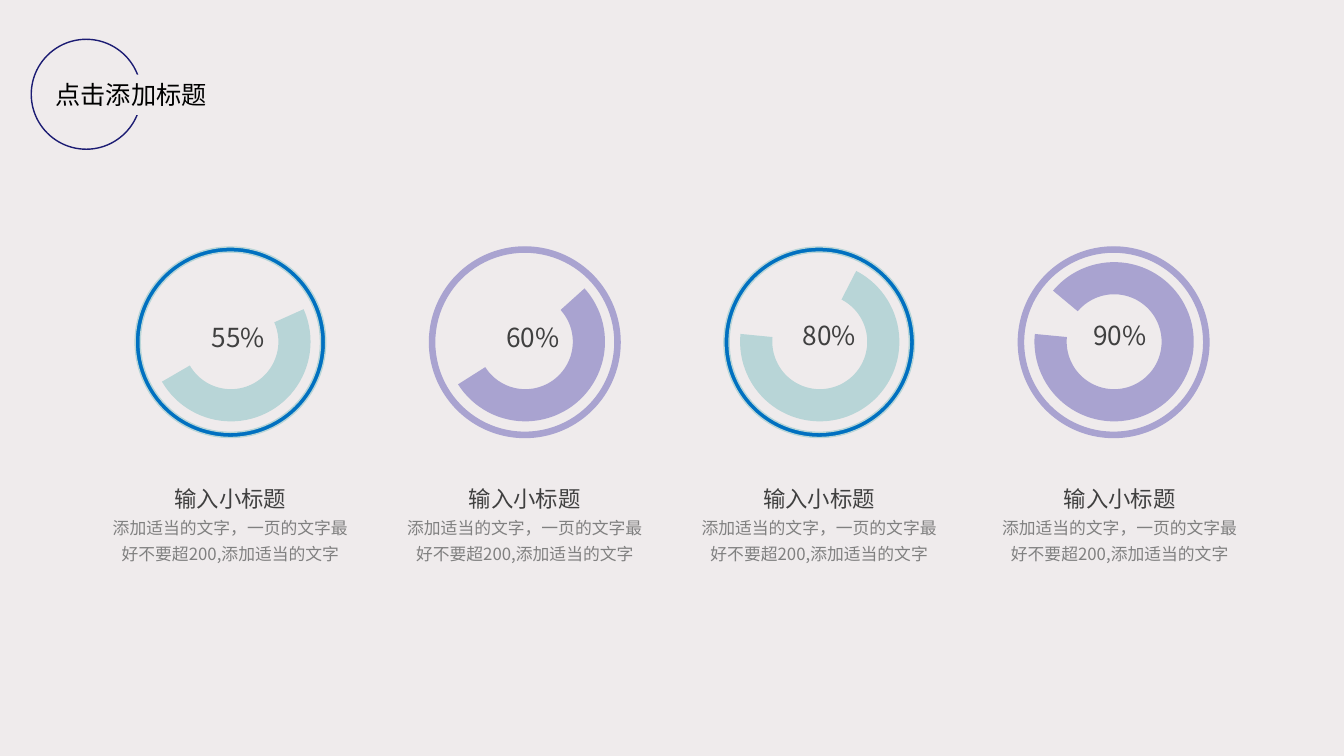
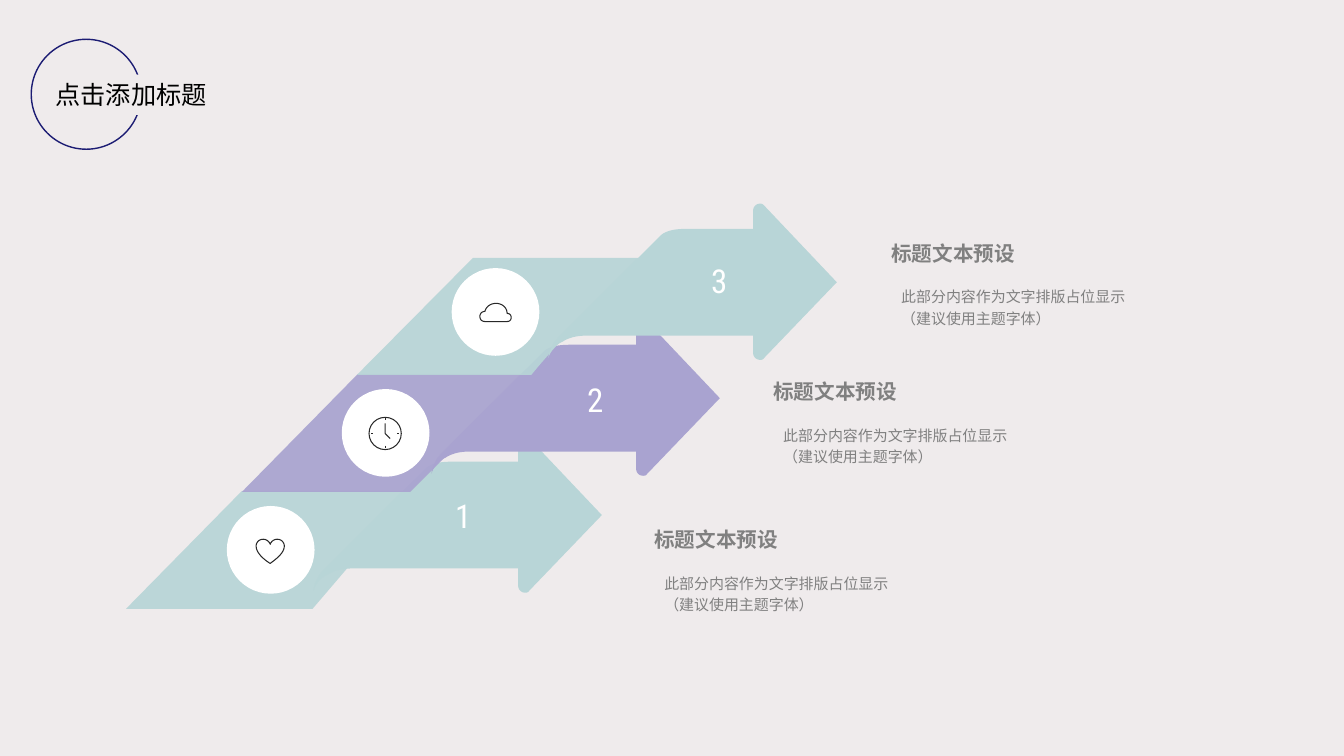
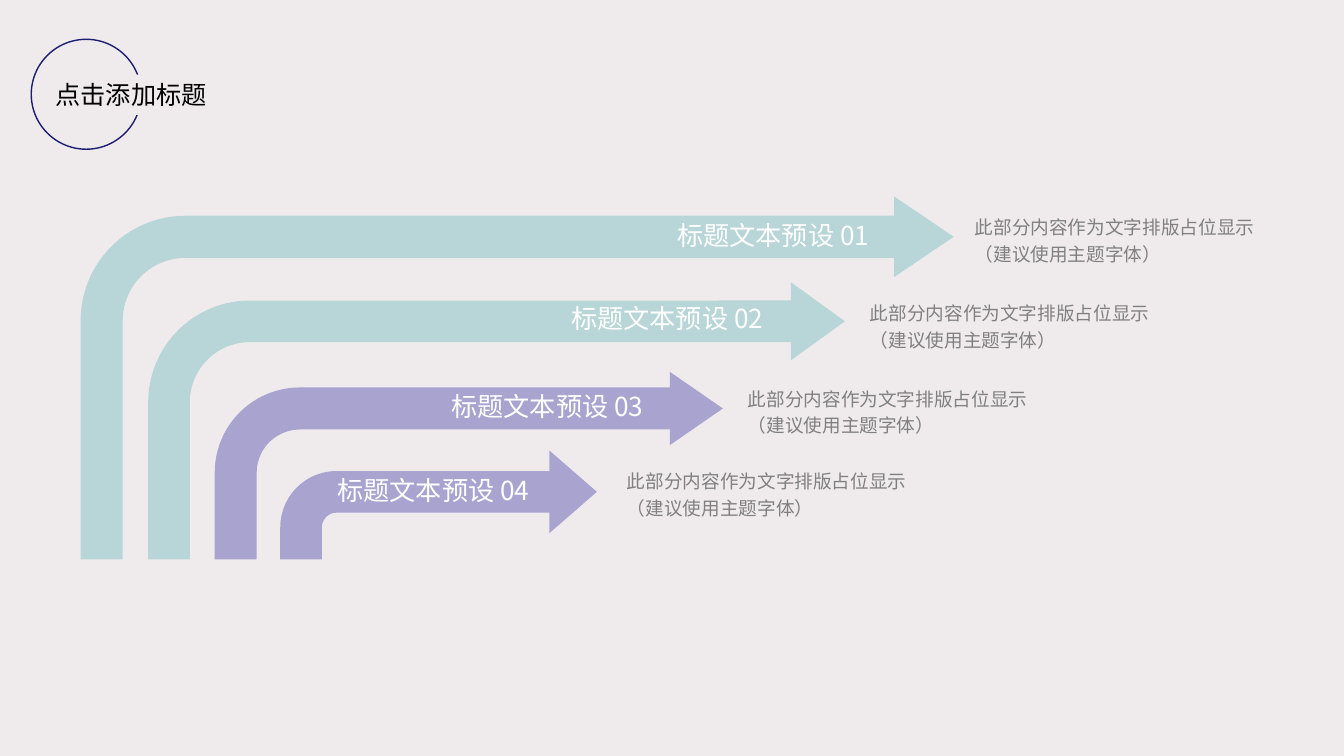
from dataclasses import dataclass
from lxml.etree import SubElement
from pptx import Presentation
from pptx.dml.color import RGBColor
from pptx.enum.shapes import MSO_SHAPE
from pptx.enum.text import MSO_ANCHOR, PP_ALIGN
from pptx.oxml.ns import qn
from pptx.util import Inches, Pt


@dataclass(frozen=True)
class Theme:
    back: str = "EFEBEC"
    navy: str = "1C1C73"
    blue: str = "0070C0"
    mint: str = "B8D5D7"
    lilac: str = "A9A3D0"
    white: str = "FFFFFF"
    black: str = "000000"
    ink: str = "282828"
    dark: str = "404040"
    gray: str = "808080"
    sans: str = "Noto Sans CJK SC"
    slim: str = "Roboto Condensed"
    title: float = 18
    label: float = 18.7
    head: float = 16
    text: float = 12
    digit: float = 23.5
    step: float = 14.7
    note: float = 10.7
    body: float = 13.3


T = Theme()
TITLE = "点击添加标题"
HEAD = "标题文本预设"
NOTE = "此部分内容作为文字排版占位显示\v（建议使用主题字体）"
CAPTION = "输入小标题\n添加适当的文字，一页的文字最好不要超200,添加适当的文字"

RINGS = [
    ("55%", T.blue, T.mint, 146.3, 113.75, 1.83, 3.14, 0.95),
    ("60%", T.lilac, T.lilac, 144, 104.4, 4.75, 3.14, 3.87),
    ("80%", T.blue, T.mint, 182, 69.14, 7.69, 3.12, 6.79),
    ("90%", T.lilac, T.lilac, 182, 22.76, 10.57, 3.12, 9.77),
]

ARROW = [
    (2.1, 1.55), (2.11, 1.55, 2.13, 1.55, 2.14, 1.53), (2.86, 0.78), (2.14, 0.02),
    (2.13, 0.01, 2.12, 0, 2.1, 0), (2.06, 0, 2.03, 0.03, 2.03, 0.07),
    (2.03, 0.25), (1.4, 0.25), (1.36, 0.25, 1.3, 0.25, 1.24, 0.26),
    (1.19, 0.27, 1.14, 0.29, 1.12, 0.31), (1.11, 0.32, 0.11, 1.31, 0.06, 1.37),
    (0.03, 1.42, 0, 1.49, 0, 1.53), (0.02, 1.46, 0.07, 1.4, 0.14, 1.37),
    (0.2, 1.33, 0.28, 1.31, 0.37, 1.31), (2.03, 1.31), (2.03, 1.48),
    (2.03, 1.52, 2.06, 1.55, 2.1, 1.55),
]
HEART = [
    (2.68, 5.59), (2.66, 5.58, 2.54, 5.5, 2.54, 5.42), (2.54, 5.38, 2.57, 5.35, 2.61, 5.35),
    (2.64, 5.35, 2.67, 5.37, 2.68, 5.4), (2.69, 5.37, 2.72, 5.35, 2.75, 5.35),
    (2.79, 5.35, 2.82, 5.38, 2.82, 5.42), (2.82, 5.5, 2.69, 5.58, 2.68, 5.59),
]
CLOUD = [
    (5.03, 3.19), (4.81, 3.19), (4.78, 3.19, 4.76, 3.17, 4.76, 3.14),
    (4.76, 3.11, 4.78, 3.09, 4.81, 3.09), (4.82, 3.04, 4.87, 3.01, 4.92, 3.01),
    (4.98, 3.01, 5.03, 3.05, 5.03, 3.11), (5.06, 3.11, 5.07, 3.13, 5.07, 3.15),
    (5.07, 3.17, 5.06, 3.19, 5.03, 3.19),
]
CLOCK = [
    [(3.82, 4.2), (3.82, 4.3), (3.87, 4.35)],
    [(3.82, 4.15), (3.82, 4.17)],
    [(3.82, 4.42), (3.82, 4.44)],
    [(3.68, 4.3), (3.7, 4.3)],
    [(3.94, 4.3), (3.96, 4.3)],
]
DIAL = (3.66, 4.14, 0.32, 0.32)
STEPS = [
    ("1", T.mint, [(4.1, 4.87), (2.4, 4.87), (1.25, 6.04), (3.1, 6.04)],
     (3.11, 4.33), (4.33, 4.92), (2.25, 5.02), [HEART], (6.49, 5.18)),
    ("2", T.lilac, [(5.24, 3.71), (3.55, 3.71), (2.4, 4.88), (4.07, 4.88)],
     (4.28, 3.17), (5.64, 3.77), (3.39, 3.86), CLOCK, (7.67, 3.71)),
    ("3", T.mint, [(6.38, 2.56), (4.69, 2.56), (3.54, 3.72), (5.27, 3.72),
                   (5.4, 3.56, 5.54, 3.41, 5.68, 3.25), (5.9, 3.01, 6.14, 2.78, 6.38, 2.56)],
     (5.44, 2.02), (6.87, 2.59), (4.48, 2.66), [CLOUD], (8.84, 2.34)),
]

BENDS = [
    ("01", T.mint, (0.8, 1.95, 8.66), (0.116, 0.111, 0.164, 0.289), (5.61, 2.05), (9.57, 2.1)),
    ("02", T.mint, (1.47, 2.8, 6.91), (0.15, 0.141, 0.195, 0.367), (4.56, 2.88), (8.53, 2.95)),
    ("03", T.lilac, (2.13, 3.69, 5.04), (0.224, 0.195, 0.282, 0.454), (3.37, 3.75), (7.32, 3.8)),
    ("04", T.lilac, (2.78, 4.47, 3.14), (0.382, 0.379, 0.435, 0.518), (2.24, 4.58), (6.12, 4.62)),
]
FLOOR = 5.55


def rgb(tint):
    return RGBColor.from_string(tint)


def paint(shape, fill=None, line=None, width=1):
    shape.shadow.inherit = False
    if fill:
        shape.fill.solid()
        shape.fill.fore_color.rgb = rgb(fill)
    else:
        shape.fill.background()
    if line:
        shape.line.color.rgb = rgb(line)
        shape.line.width = Pt(width)
    else:
        shape.line.fill.background()
    return shape


def draw(slide, kind, box, fill=None, line=None, width=1, adjust=()):
    shape = slide.shapes.add_shape(kind, *map(Inches, box))
    for i, value in enumerate(adjust):
        shape.adjustments[i] = value
    return paint(shape, fill, line, width)


def style(para, size, tint, font=T.sans, bold=False, align=PP_ALIGN.LEFT, space=None):
    para.alignment = align
    if space:
        para.line_spacing = space
    for run in para.runs:
        run.font.size = Pt(size)
        run.font.bold = bold
        run.font.color.rgb = rgb(tint)
        run.font.name = font
        SubElement(run.font._element, qn("a:ea")).set("typeface", font)


def write(slide, box, text, looks, inset=(0.1, 0.05, 0.1, 0.05), anchor=MSO_ANCHOR.TOP, **more):
    frame = slide.shapes.add_textbox(*map(Inches, box)).text_frame
    frame.word_wrap = True
    frame.vertical_anchor = anchor
    (frame.margin_left, frame.margin_top,
     frame.margin_right, frame.margin_bottom) = map(Inches, inset)
    frame.text = text
    for para, (size, tint) in zip(frame.paragraphs, looks):
        style(para, size, tint, **more)


def trace(parts, parts_per_curve=10):
    points = [parts[0]]
    for part in parts[1:]:
        if len(part) == 2:
            points.append(part)
            continue
        knots = [points[-1], part[:2], part[2:4], part[4:]]
        for i in range(1, parts_per_curve + 1):
            t = i / parts_per_curve
            u = 1 - t
            mix = (u ** 3, 3 * u * u * t, 3 * u * t * t, t ** 3)
            points.append(tuple(sum(m * k[a] for m, k in zip(mix, knots)) for a in (0, 1)))
    return points


def outline(slide, parts, at=(0, 0), close=True, **look):
    points = [(Inches(x + at[0]), Inches(y + at[1])) for x, y in trace(parts)]
    pen = slide.shapes.build_freeform(*points[0])
    pen.add_line_segments(points[1:], close=close)
    return paint(pen.convert_to_shape(), **look)


def fade(shape, share):
    color = shape.fill._xPr.find(qn("a:solidFill"))[0]
    SubElement(color, qn("a:alpha")).set("val", str(share * 1000))


def start(deck):
    slide = deck.slides.add_slide(deck.slide_layouts[5])
    title = slide.shapes.title
    title.left, title.top, title.width, title.height = map(Inches, (0.45, 0.74, 1.72, 0.4))
    title.fill.solid()
    title.fill.fore_color.rgb = rgb(T.back)
    frame = title.text_frame
    frame.text = TITLE
    frame.word_wrap = False
    frame.vertical_anchor = MSO_ANCHOR.MIDDLE
    style(frame.paragraphs[0], T.title, T.black)
    return slide


def rings(slide):
    for i, (label, rim, tint, turn, sweep, x, y, left) in enumerate(RINGS):
        edge = 1.34 + 2.92 * i
        draw(slide, MSO_SHAPE.DONUT, (edge, 2.45, 1.89, 1.89), rim, tint, adjust=(0.027,))
        arc = draw(slide, MSO_SHAPE.BLOCK_ARC, (edge + 0.16, 2.6, 1.58, 1.58), tint,
                   adjust=(sweep, 2.18, 0.202))
        arc.rotation = turn
        write(slide, (x, y, 1.07, 0.42), label, [(T.label, T.dark)], align=PP_ALIGN.CENTER)
        write(slide, (left, 4.66, 2.67, 1), CAPTION, [(T.head, T.dark), (T.text, T.gray)],
              inset=(0.15, 0.07, 0.15, 0.07), align=PP_ALIGN.CENTER, space=1.3)


def steps(slide):
    for digit, tint, band, tip, spot, disc, icon, (x, y) in STEPS:
        fade(outline(slide, band, fill=tint), 93)
        outline(slide, ARROW, tip, fill=tint)
        write(slide, (*spot, 0.53, 0.38), digit, [(T.digit, T.white)], inset=(0.04,) * 4,
              anchor=MSO_ANCHOR.MIDDLE, font=T.slim, align=PP_ALIGN.CENTER)
        draw(slide, MSO_SHAPE.OVAL, (*disc, 0.87, 0.87), T.white)
        if icon is CLOCK:
            draw(slide, MSO_SHAPE.OVAL, DIAL, line=T.ink, width=0.75)
        for path_parts in icon:
            outline(slide, path_parts, close=icon is not CLOCK, line=T.ink, width=0.75)
        write(slide, (x, y + 0.37, 3.24, 0.65), NOTE, [(T.note, T.gray)],
              anchor=MSO_ANCHOR.MIDDLE, space=1.2)
        write(slide, (x, y, 1.5, 0.3), HEAD, [(T.step, T.gray)], inset=(0,) * 4,
              bold=True, space=1.2)


def bends(slide):
    for number, tint, (x, y, width), shape, label, note in BENDS:
        draw(slide, MSO_SHAPE.BENT_ARROW, (x, y, width, FLOOR - y), tint, adjust=shape)
        write(slide, (*label, 3.11, 0.56), f"{HEAD} {number}", [(T.label, T.white)],
              anchor=MSO_ANCHOR.MIDDLE, align=PP_ALIGN.RIGHT)
        write(slide, (*note, 3.06, 0.53), NOTE, [(T.body, T.gray)],
              inset=(0.1, 0, 0, 0), space=1.2)


deck = Presentation()
deck.slide_width, deck.slide_height = Inches(13.33), Inches(7.5)
ground = deck.slide_master.background.fill
ground.solid()
ground.fore_color.rgb = rgb(T.back)
pages = [start(deck) for _ in range(3)]
circle = draw(pages[0], MSO_SHAPE.OVAL, (0.31, 0.39, 1.09, 1.09), line=T.navy)
deck.slide_layouts[5].shapes.element.append(circle.element)
for build, page in zip((rings, steps, bends), pages):
    build(page)
deck.save("out.pptx")
